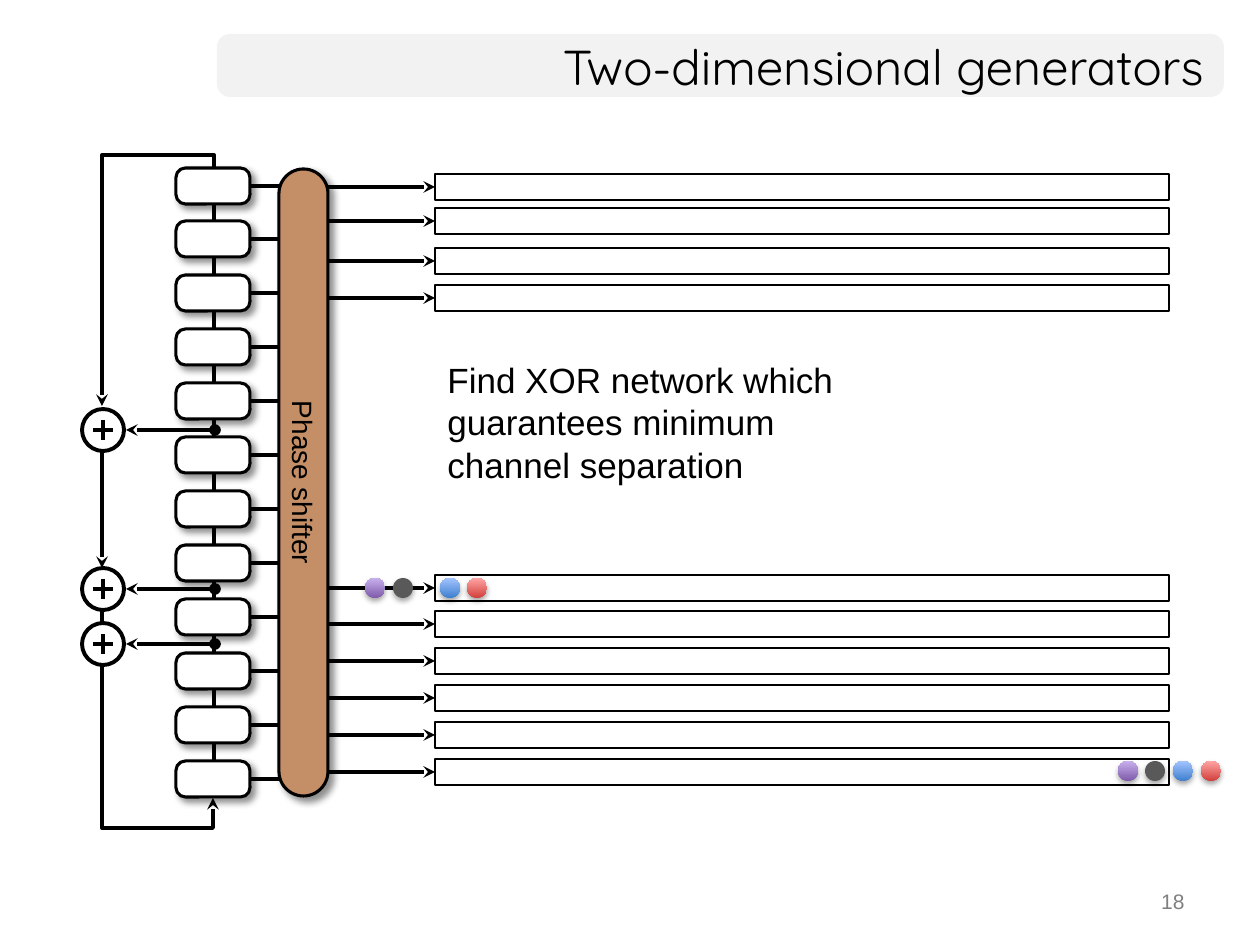
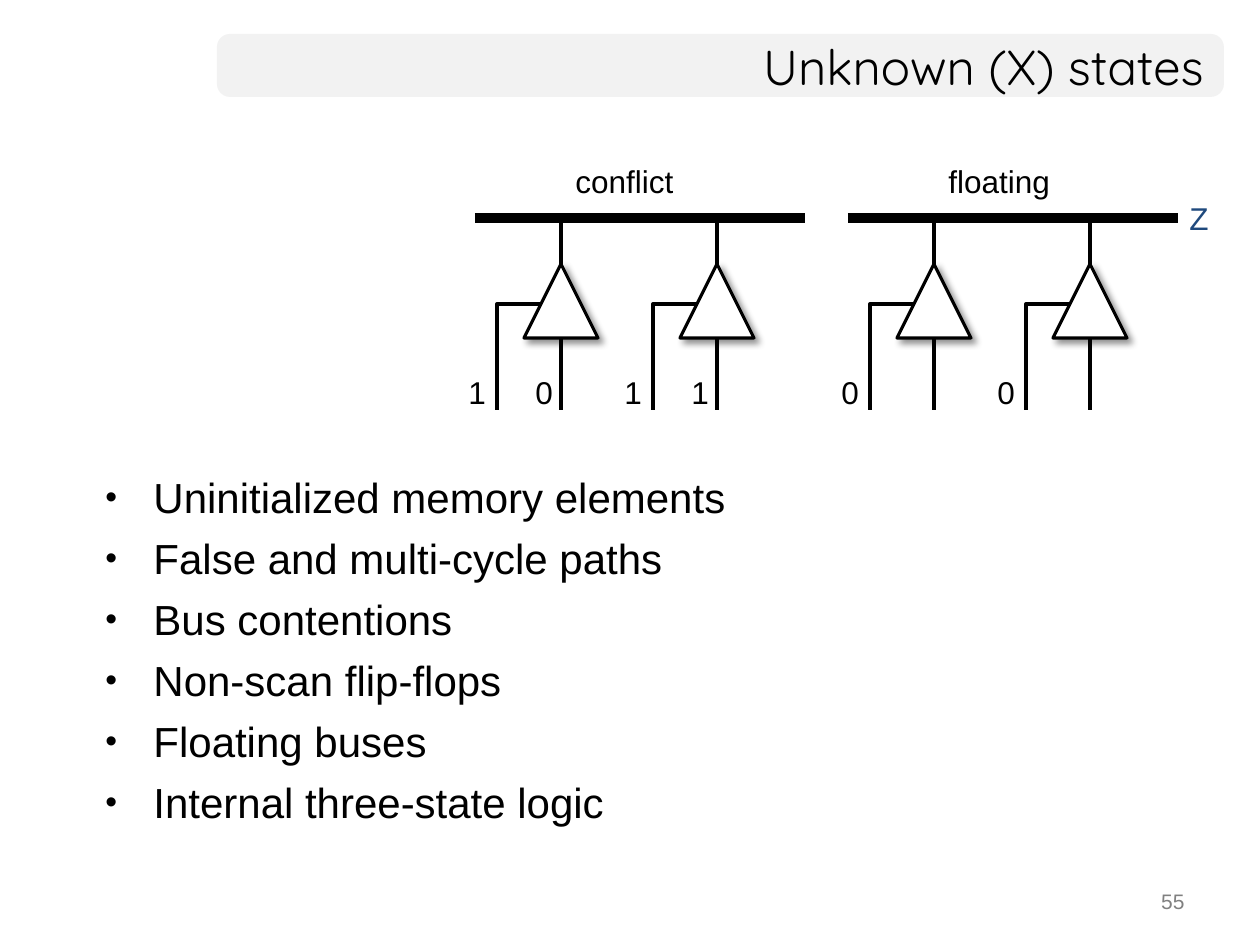
from dataclasses import dataclass, field
from lxml.etree import SubElement
from pptx import Presentation
from pptx.dml.color import RGBColor
from pptx.enum.shapes import MSO_CONNECTOR as LINK, MSO_SHAPE as SHAPE
from pptx.enum.text import MSO_ANCHOR as ANCHOR, MSO_AUTO_SIZE as AUTO, PP_ALIGN as ALIGN
from pptx.oxml.ns import qn
from pptx.util import Inches, Pt

SCALE = Inches(1) / 126  # EMU in one px


@dataclass
class Theme:
    ink: str = "000000"
    paper: str = "FFFFFF"
    band: str = "F2F2F2"
    shifter: str = "C48E66"
    # Dots from left to right: (bottom, top) gradient or one flat colour
    dots: tuple = (("7F5BAB", "C8B0ED"), "595959", ("3F80CE", "A4C4FF"), ("D1403C", "FFA6A5"))
    # Line widths in points
    wire: float = 2.25
    edge: float = 1.75
    thin: float = 0.75
    bus: float = 6
    # Shadows: alpha %, blur, distance, direction
    deep: tuple = (43, 4, 3, 45)
    soft: tuple = (35, 3.1, 1.8, 90)
    # Text: font, size, colour, alignment, anchor
    text: dict = field(default_factory=lambda: {
        "title": ("Quicksand", 28, "000000", ALIGN.RIGHT, ANCHOR.MIDDLE),
        "number": ("Arial", 12, "808080", ALIGN.RIGHT, ANCHOR.TOP),
        "note": ("Arial", 20, "000000", ALIGN.LEFT, ANCHOR.MIDDLE),
        "shifter": ("Arial", 16, "000000", ALIGN.CENTER, ANCHOR.MIDDLE),
        "bullet": ("Arial", 24, "000000", ALIGN.LEFT, ANCHOR.MIDDLE),
        "label": ("Arial", 18, "000000", ALIGN.LEFT, ANCHOR.MIDDLE),
        "state": ("Arial", 18, "1F497D", ALIGN.LEFT, ANCHOR.MIDDLE),
    })


theme = Theme()


def add_box(page, kind, rect, lines=(), style="label", fill=None, line=0, shadow=None, corner=None):
    """Place a title, text box or preset shape; rect is left, top, width, height in px."""
    place = dict(zip(("left", "top", "width", "height"), (round(n * SCALE) for n in rect)))
    if kind == "title":
        box = page.shapes.title
        for name, value in place.items():
            setattr(box, name, value)
    elif kind == "text":
        box = page.shapes.add_textbox(*place.values())
    else:
        box = page.shapes.add_shape(kind, *place.values())
        box.shadow.inherit = False
        if corner is not None:
            box.adjustments[0] = corner
        if isinstance(fill, tuple):
            box.fill.gradient()
            box.fill.gradient_angle = 90
            for stop, color in zip(box.fill.gradient_stops, fill):
                stop.color.rgb = RGBColor.from_string(color)
        elif fill:
            box.fill.solid()
            box.fill.fore_color.rgb = RGBColor.from_string(fill)
        else:
            box.fill.background()
        if line:
            box.line.width = Pt(line)
            box.line.color.rgb = RGBColor.from_string(theme.ink)
        else:
            box.line.fill.background()
        if shadow:
            alpha, blur, distance, angle = shadow
            effects = box._element.spPr.find(qn("a:effectLst"))
            outer = SubElement(effects, qn("a:outerShdw"), blurRad=str(Pt(blur)), dist=str(Pt(distance)),
                               dir=str(angle * 60000), algn="ctr", rotWithShape="0")
            color = SubElement(outer, qn("a:srgbClr"), val=theme.ink)
            SubElement(color, qn("a:alpha"), val=str(alpha * 1000))
    if lines:
        font, size, color, align, anchor = theme.text[style]
        frame = box.text_frame
        layout = {"word_wrap": True, "auto_size": AUTO.NONE, "vertical_anchor": anchor}
        for name, value in layout.items():
            setattr(frame, name, value)
        for index, words in enumerate(lines):
            para = frame.add_paragraph() if index else frame.paragraphs[0]
            para.alignment = align
            span = para.add_run()
            span.text = words
            for name, value in {"name": font, "size": Pt(size), "bold": False}.items():
                setattr(span.font, name, value)
            span.font.color.rgb = RGBColor.from_string(color)
    return box


def add_wire(page, points, width=theme.wire, head=None, tail=None):
    """Draw a connector through two points, or an open outline through more."""
    if len(points) == 2:
        ends = [round(n * SCALE) for point in points for n in point]
        wire = page.shapes.add_connector(LINK.STRAIGHT, *ends)
    else:
        outline = page.shapes.build_freeform(*points[0], scale=SCALE)
        outline.add_line_segments(points[1:], close=False)
        wire = outline.convert_to_shape()
        wire.fill.background()
        wire.shadow.inherit = False
    wire.line.width = Pt(width)
    wire.line.color.rgb = RGBColor.from_string(theme.ink)
    props = wire._element.spPr
    for tag, end in (("a:headEnd", head), ("a:tailEnd", tail)):
        if end:
            SubElement(props.find(qn("a:ln")), qn(tag), type=end)
    if len(points) == 2:
        SubElement(props, qn("a:effectLst"))
    return wire


deck = Presentation()
deck.slide_width, deck.slide_height = Inches(10), Inches(7.5)

# Shared title, band and page number
pages = []
for title, number in (("Two-dimensional generators", "18"), ("Unknown (X) states", "55")):
    page = deck.slides.add_slide(deck.slide_layouts[5])
    band = add_box(page, SHAPE.ROUNDED_RECTANGLE, (217, 34, 1007, 63), fill=theme.band, corner=0.208)
    page.shapes._spTree.insert(2, band._element)
    add_box(page, "title", (217, 34, 999, 63), [title], "title")
    add_box(page, "text", (903, 882, 294, 44), [number], "number")
    pages.append(page)
generator, states = pages

# Feedback loop of the register
add_wire(generator, [(214, 785), (214, 155), (102, 155), (102, 406)], tail="stealth")
add_wire(generator, [(102, 418), (102, 568)], tail="stealth")
add_wire(generator, [(102, 581), (102, 828), (213, 828), (213, 798)], tail="stealth")

# Adders and their taps
for y in (430, 589, 644):
    add_box(generator, SHAPE.OVAL, (82, y - 21, 42, 42), fill=theme.paper, line=theme.wire)
    add_wire(generator, [(93, y), (113, y)])
    add_wire(generator, [(103, y - 10), (103, y + 10)])
    add_wire(generator, [(215, y), (126, y)], head="oval", tail="stealth")

# Register cells, each wired to the phase shifter
shifter = add_box(generator, SHAPE.ROUNDED_RECTANGLE, (279, 169, 49, 627), ["Phase shifter"], "shifter",
                  fill=theme.shifter, line=theme.edge, shadow=theme.deep, corner=0.5)
frame = shifter.text_frame
frame._txBody.bodyPr.set("vert", "vert")
for side, inset in {"left": 0.1, "right": 0.05, "top": 0.1, "bottom": 0.1}.items():
    setattr(frame, f"margin_{side}", Inches(inset))
for index in range(12):
    top = 168 + index * 593 // 11
    cell = add_box(generator, SHAPE.ROUNDED_RECTANGLE, (176, top, 74, 36), fill=theme.paper,
                   line=theme.edge, shadow=theme.deep, corner=0.262)
    add_wire(generator, [(250, top + 18), (279, top + 18)]).begin_connect(cell, 3)

# Scan chains fed by the phase shifter
for top in [174, 208, 248, 285] + [575 + index * 184 // 5 for index in range(6)]:
    chain = add_box(generator, SHAPE.RECTANGLE, (435, top, 734, 26), line=theme.thin)
    add_wire(generator, [(328, top + 13), (435, top + 13)], tail="stealth").end_connect(chain, 1)

# Bits entering and leaving the chains
for y, lefts in ((578, (365, 393, 440, 467)), (761, (1118, 1145, 1173, 1201))):
    for left, color in zip(lefts, theme.dots):
        add_box(generator, SHAPE.OVAL, (left, y, 20, 20), fill=color, shadow=theme.soft)

add_box(generator, "text", (435, 352, 435, 140),
        ["Find XOR network which guarantees minimum channel separation"], "note")

# Two buses with two three-state buffers each: (enable, input)
for left, name, buffers in ((475, "conflict", (("1", "0"), ("1", "1"))),
                            (848, "floating", (("0", ""), ("0", "")))):
    add_box(states, "text", (left + 88, 156, 152, 50), [name])
    add_wire(states, [(left, 218), (left + 330, 218)], theme.bus)
    for index, (enable, data) in enumerate(buffers):
        x = left + 86 + index * 156
        add_wire(states, [(x - 11, 304), (x - 64, 304), (x - 64, 410)])
        add_wire(states, [(x, 223), (x, 410)])
        add_box(states, SHAPE.ISOSCELES_TRIANGLE, (x - 37, 264, 74, 74), fill=theme.paper,
                line=theme.edge, shadow=theme.deep)
        for offset, bit in ((-105, enable), (-38, data)):
            if bit:
                add_box(states, "text", (x + offset, 367, 67, 50), [bit])
add_box(states, "text", (1177, 193, 50, 50), ["Z"], "state")

# Sources of unknown states
sources = ["Uninitialized memory elements", "False and multi-cycle paths", "Bus contentions",
           "Non-scan flip-flops", "Floating buses", "Internal three-state logic"]
body = add_box(states, "text", (93, 459, 777, 381), sources, "bullet")
for index, para in enumerate(body.text_frame.paragraphs):
    para.space_before = Pt(6 if index else 0)
    props = para._p.get_or_add_pPr()
    props.set("marL", str(round(48 * SCALE)))
    props.set("indent", str(round(-48 * SCALE)))
    SubElement(props, qn("a:buSzPct"), val="80000")
    SubElement(props, qn("a:buFont"), typeface="Arial")
    SubElement(props, qn("a:buChar"), char="•")

deck.save("out.pptx")
